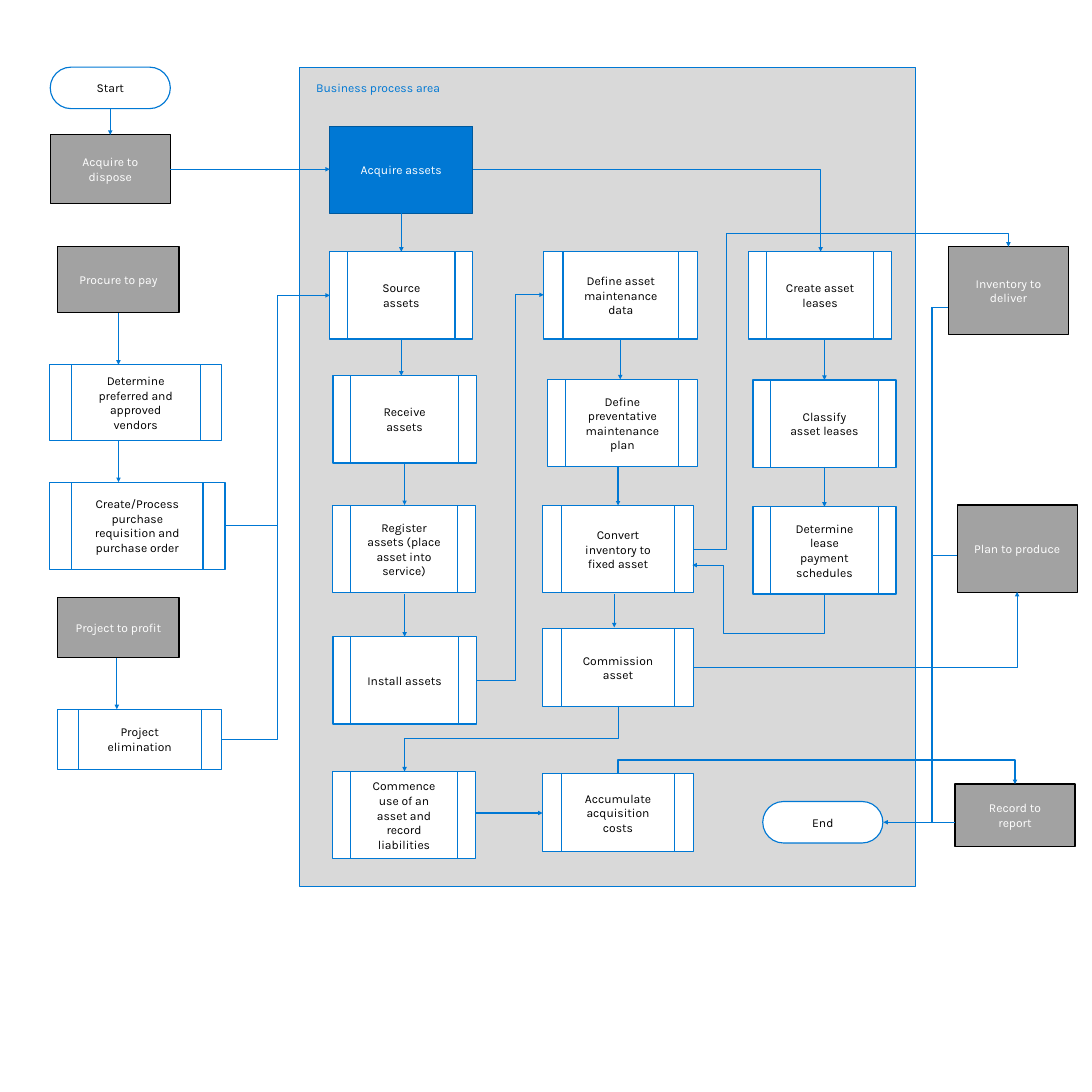
from lxml.etree import SubElement
from pptx import Presentation
from pptx.dml.color import RGBColor
from pptx.enum.shapes import MSO_CONNECTOR, MSO_SHAPE
from pptx.enum.text import MSO_ANCHOR, PP_ALIGN
from pptx.oxml.ns import qn
from pptx.util import Cm, Pt

BLUE, NAVY, GREY, SILVER = "0078D4", "00599D", "A2A2A2", "D9D9D9"
BLACK, WHITE = "000000", "FFFFFF"

# kind: (preset shape, fill, line, text colour)
KINDS = {
    "area": (MSO_SHAPE.RECTANGLE, SILVER, BLUE, BLUE),
    "terminal": (MSO_SHAPE.ROUNDED_RECTANGLE, WHITE, BLUE, BLACK),
    "external": (MSO_SHAPE.RECTANGLE, GREY, BLACK, WHITE),
    "main": (MSO_SHAPE.RECTANGLE, BLUE, NAVY, WHITE),
    "process": (MSO_SHAPE.FLOWCHART_PREDEFINED_PROCESS, WHITE, BLUE, BLACK),
}


def inch(value):
    return Cm(value * 2.54)


def color(hex_string):
    return RGBColor.from_string(hex_string)


def add_node(slide, origin, kind, text, x, y, w=2.62, h=1.6):
    """Place a labelled flowchart shape, measured in inches from the origin."""
    preset, fill, line, ink = KINDS[kind]
    sp = slide.shapes.add_shape(preset, inch(origin[0] + x), inch(origin[1] + y),
                                inch(w), inch(h))
    sp.shadow.inherit = False
    sp.fill.solid()
    sp.fill.fore_color.rgb = color(fill)
    sp.line.color.rgb = color(line)
    sp.line.width = Pt(1.5)
    if kind == "terminal":
        sp.adjustments[0] = 0.5
    tf = sp.text_frame
    tf.word_wrap = True
    tf.margin_left = tf.margin_right = inch(0.3)
    tf.margin_top = tf.margin_bottom = inch(0.24)
    tf.vertical_anchor = MSO_ANCHOR.TOP if kind == "area" else MSO_ANCHOR.MIDDLE
    tf.text = text
    p = tf.paragraphs[0]
    p.alignment = PP_ALIGN.LEFT if kind == "area" else PP_ALIGN.CENTER
    font = p.runs[0].font
    font.name = "Karla"
    font.size = Pt(16)
    font.color.rgb = color(ink)


def bend(cxn, points):
    """Shape an elbow connector so that it runs through the given corners."""
    start, end = points[0], points[-1]
    delta = [end[i] - start[i] for i in (0, 1)]
    main = 0 if points[1][1] == start[1] else 1
    flip_h, flip_v = delta[main] < 0, delta[1 - main] < 0
    xfrm = cxn._element.spPr.find(qn("a:xfrm"))
    if main == 1:
        flip_v = not flip_v
        xfrm.set("rot", "5400000")
    xfrm.set("flipH", str(int(flip_h)))
    xfrm.set("flipV", str(int(flip_v)))
    w, h = abs(delta[main]), abs(delta[1 - main])
    cxn.width, cxn.height = inch(w), inch(h)
    cxn.left = inch((start[0] + end[0] - w) / 2)
    cxn.top = inch((start[1] + end[1] - h) / 2)

    geom = cxn._element.spPr.find(qn("a:prstGeom"))
    segments = len(points) - 1
    geom.set("prst", f"bentConnector{segments}")
    guides = geom.find(qn("a:avLst"))
    for k in range(1, segments - 1):
        axis = main if k % 2 else 1 - main
        share = (points[k][axis] - start[axis]) / delta[axis]
        SubElement(guides, qn("a:gd"), name=f"adj{k}",
                   fmla=f"val {round(share * 100000)}")


def add_link(slide, origin, *corners, arrow=True, width=1.5):
    """Draw one connector through corners measured in inches from the origin."""
    points = [(round(origin[0] + x, 2), round(origin[1] + y, 2)) for x, y in corners]
    style = MSO_CONNECTOR.ELBOW if len(points) > 2 else MSO_CONNECTOR.STRAIGHT
    ends = [inch(v) for v in points[0] + points[-1]]
    cxn = slide.shapes.add_connector(style, *ends)
    if len(points) > 2:
        bend(cxn, points)
    cxn.line.color.rgb = color(BLUE)
    cxn.line.width = Pt(width)
    if arrow:
        SubElement(cxn.line._get_or_add_ln(), qn("a:tailEnd"), type="triangle")
    SubElement(cxn._element.spPr, qn("a:effectLst"))


def add_down_arrows(slide, origin, arrows):
    for x, top, bottom in arrows:
        add_link(slide, origin, (x, top), (x, bottom))


def add_source_lane(slide, origin):
    for node in (
        ("terminal", "Start", 0.01, 0, 2.2, 0.76),
        ("external", "Acquire to dispose", 0.01, 1.24, 2.2, 1.26),
        ("external", "Procure to pay", 0.15, 3.29, 2.22, 1.2),
        ("process", "Determine preferred and approved vendors", 0, 5.45, 3.15, 1.39),
        ("process", "Create/Process purchase requisition and purchase order",
         0, 7.6, 3.21, 1.6),
        ("external", "Project to profit", 0.15, 9.72, 2.22, 1.1),
        ("process", "Project elimination", 0.15, 11.76, 3, 1.1),
    ):
        add_node(slide, origin, *node)
    add_down_arrows(slide, origin, (
        (1.11, 0.76, 1.24), (1.26, 4.5, 5.45), (1.26, 6.84, 7.6), (1.23, 10.82, 11.76)))


def add_process_area(slide, origin):
    add_node(slide, origin, "area", "Business process area", 0, 0, 11.28, 15.01)
    add_node(slide, origin, "main", "Acquire assets", 0.55, 1.08)
    add_node(slide, origin, "terminal", "End", 8.48, 13.45, 2.2, 0.76)
    for step in (
        ("Source assets", 0.55, 3.38),
        ("Receive assets", 0.61, 5.65),
        ("Register assets (place asset into service)", 0.6, 8.03),
        ("Install assets", 0.61, 10.43),
        ("Commence use of an asset and record liabilities", 0.6, 12.9),
        ("Define asset maintenance data", 4.47, 3.38, 2.82),
        ("Define preventative maintenance plan", 4.53, 5.72, 2.76),
        ("Convert inventory to fixed asset", 4.45, 8.03, 2.76),
        ("Commission asset", 4.45, 10.28, 2.76, 1.43),
        ("Accumulate acquisition costs", 4.45, 12.94, 2.76, 1.43),
        ("Create asset leases", 8.22, 3.38),
        ("Classify asset leases", 8.3, 5.73),
        ("Determine lease payment schedules", 8.3, 8.05),
    ):
        add_node(slide, origin, "process", *step)
    add_down_arrows(slide, origin, (
        (1.86, 2.67, 3.38), (1.86, 4.98, 5.65), (1.92, 7.25, 8.02), (1.92, 9.65, 10.43),
        (5.87, 4.97, 5.72), (5.83, 7.33, 8.03), (5.76, 9.65, 10.26),
        (9.61, 5, 5.73), (9.61, 7.32, 8.05)))
    for corners in (
        ((3.23, 13.66), (4.45, 13.66)),
        ((3.17, 1.87), (9.54, 1.87), (9.54, 3.38)),
        ((3.24, 11.23), (3.95, 11.23), (3.95, 4.17), (4.47, 4.17)),
        ((5.83, 11.7), (5.83, 12.3), (1.92, 12.3), (1.92, 12.9)),
    ):
        add_link(slide, origin, *corners)
    add_link(slide, origin, (9.61, 9.64), (9.61, 10.37), (7.75, 10.37),
             (7.75, 9.12), (7.19, 9.12), width=0.75)


def add_target_lane(slide, origin):
    add_node(slide, origin, "external", "Inventory to deliver", 0, 0, 2.2)
    add_node(slide, origin, "external", "Plan to produce", 0.16, 4.73, 2.2)
    add_node(slide, origin, "external", "Record to report", 0.12, 9.84, 2.2, 1.14)


def add_lane_links(slide, origin):
    """Join the two outer lanes to the process area."""
    for corners in (
        ((3.12, 3.1), (6.04, 3.1)),
        ((4.12, 9.63), (5.08, 9.63), (5.08, 5.41), (6.04, 5.41)),
        ((12.7, 12.22), (18.63, 12.22), (18.63, 10.84)),
        ((12.69, 10.06), (13.31, 10.06), (13.31, 4.27), (18.47, 4.27), (18.47, 4.52)),
        ((11.32, 14.17), (11.32, 13.92), (18.59, 13.92), (18.59, 14.36)),
        ((17.07, 15.06), (16.18, 15.06)),
    ):
        add_link(slide, origin, *corners)
    for corners in (
        ((4.06, 13.54), (5.08, 13.54), (5.08, 8.68)),
        ((17.07, 5.63), (17.07, 15.06)),
        ((17.07, 5.63), (17.37, 5.63)),
        ((17.07, 10.17), (17.53, 10.17)),
    ):
        add_link(slide, origin, *corners, arrow=False)
    add_link(slide, origin, (17.49, 15.06), (16.97, 15.06), arrow=False, width=0.75)


def main():
    prs = Presentation()
    prs.slide_width = prs.slide_height = inch(20)
    slide = prs.slides.add_slide(prs.slide_layouts[6])
    add_process_area(slide, (5.49, 1.23))
    add_source_lane(slide, (0.91, 1.23))
    add_target_lane(slide, (17.37, 4.52))
    add_lane_links(slide, (0, 0))
    prs.save("out.pptx")


if __name__ == "__main__":
    main()
